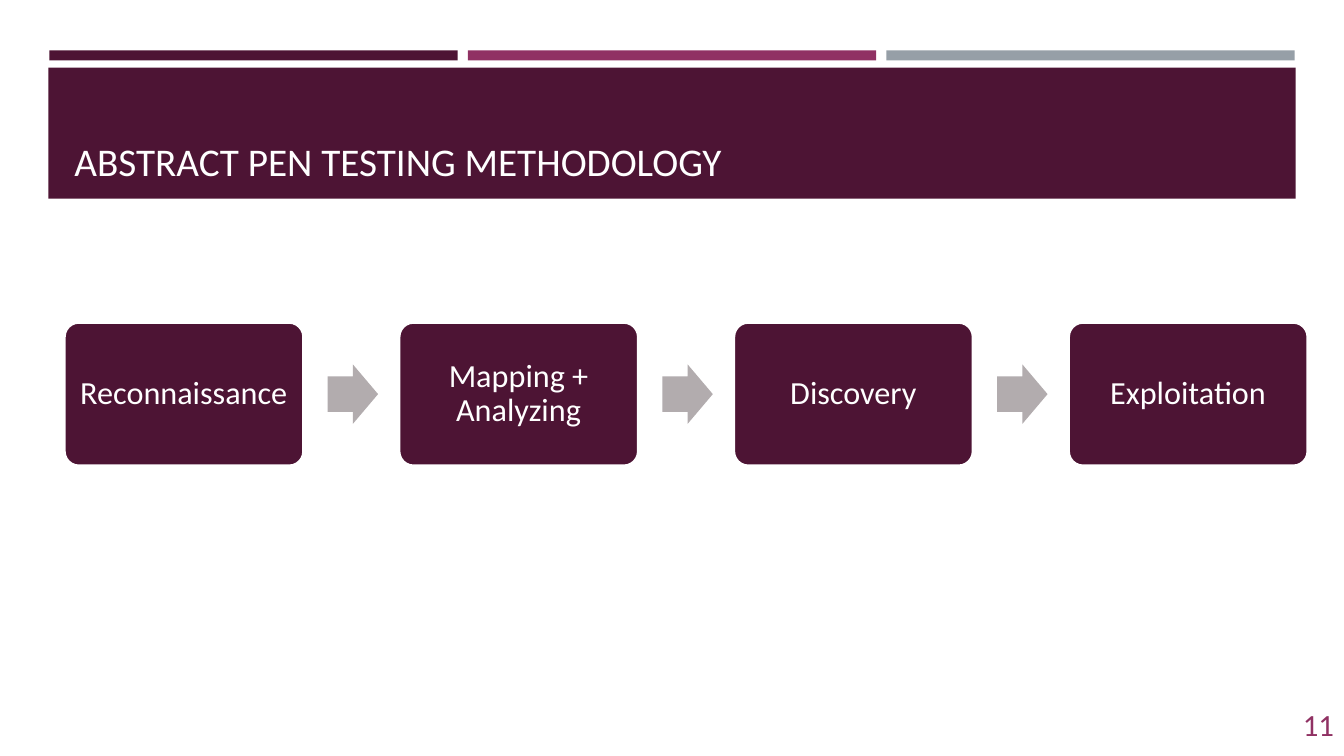
from dataclasses import dataclass
from pptx import Presentation
from pptx.dml.color import RGBColor
from pptx.enum.shapes import MSO_SHAPE
from pptx.enum.text import MSO_ANCHOR, PP_ALIGN
from pptx.util import Inches, Pt

TITLE = "ABSTRACT PEN TESTING METHODOLOGY"
PAGE_NUMBER = "11"
STAGES = ["Reconnaissance", "Mapping + Analyzing", "Discovery", "Exploitation"]


@dataclass(frozen=True)
class Theme:
    font: str = "Calibri"
    plum: str = "4D1434"
    magenta: str = "903163"
    steel: str = "969FA7"
    arrow: str = "B2ACAE"
    white: str = "FFFFFF"
    title_size: int = 28
    stage_size: int = 23
    number_size: int = 22


THEME = Theme()
WIDTH, HEIGHT = 13.33, 7.5
STRIPES = [THEME.plum, THEME.magenta, THEME.steel]
STRIPE_LEFT, STRIPE_TOP, STRIPE_WIDTH, STRIPE_STEP = 0.49, 0.5, 4.05, 4.15
STAGE_LEFT, STAGE_TOP, STAGE_WIDTH, STAGE_HEIGHT = 0.64, 3.2, 2.37, 1.42
STAGE_STEP = 3.32
ARROW_OFFSET, ARROW_WIDTH, ARROW_HEIGHT = 2.61, 0.5, 0.59


def add_block(page, kind, area, fill, adjustments=()):
    shape = page.shapes.add_shape(kind, *map(Inches, area))
    shape.shadow.inherit = False
    shape.fill.solid()
    shape.fill.fore_color.rgb = RGBColor.from_string(fill)
    shape.line.fill.background()
    for index, value in enumerate(adjustments):
        shape.adjustments[index] = value
    return shape


def write(shape, text, size, color, align, anchor, margin=0.1):
    frame = shape.text_frame
    frame.word_wrap = True
    frame.vertical_anchor = anchor
    frame.margin_left = frame.margin_right = Inches(margin)
    para = frame.paragraphs[0]
    para.text = text
    para.alignment = align
    para.font.name = THEME.font
    para.font.size = Pt(size)
    para.font.color.rgb = RGBColor.from_string(color)
    return para


def add_header(page):
    for column, color in enumerate(STRIPES):
        left = STRIPE_LEFT + column * STRIPE_STEP
        add_block(page, MSO_SHAPE.RECTANGLE, (left, STRIPE_TOP, STRIPE_WIDTH, 0.1), color)
    add_block(page, MSO_SHAPE.RECTANGLE, (0.48, 0.67, 12.37, 1.3), THEME.plum)
    box = page.shapes.add_textbox(*map(Inches, (0.64, 0.77, 12.06, 1.11)))
    write(box, TITLE, THEME.title_size, THEME.white, PP_ALIGN.LEFT, MSO_ANCHOR.BOTTOM)


def add_stages(page):
    arrow_top = STAGE_TOP + (STAGE_HEIGHT - ARROW_HEIGHT) / 2
    for column, name in enumerate(STAGES):
        left = STAGE_LEFT + column * STAGE_STEP
        area = (left, STAGE_TOP, STAGE_WIDTH, STAGE_HEIGHT)
        stage = add_block(page, MSO_SHAPE.ROUNDED_RECTANGLE, area, THEME.plum, [0.1])
        stage.line.color.rgb = RGBColor.from_string(THEME.white)
        stage.line.width = Pt(1.75)
        para = write(stage, name, THEME.stage_size, THEME.white,
                     PP_ALIGN.CENTER, MSO_ANCHOR.MIDDLE, 0.08)
        para.line_spacing = 0.9
        if column < len(STAGES) - 1:
            area = (left + ARROW_OFFSET, arrow_top, ARROW_WIDTH, ARROW_HEIGHT)
            add_block(page, MSO_SHAPE.RIGHT_ARROW, area, THEME.arrow, [0.6, 0.5])


def main():
    deck = Presentation()
    deck.slide_width, deck.slide_height = Inches(WIDTH), Inches(HEIGHT)
    page = deck.slides.add_slide(deck.slide_layouts[6])
    add_header(page)
    add_stages(page)
    box = page.shapes.add_textbox(*map(Inches, (WIDTH - 1.06, 7.03, 1.06, 0.3)))
    write(box, PAGE_NUMBER, THEME.number_size, THEME.magenta, PP_ALIGN.RIGHT, MSO_ANCHOR.MIDDLE)
    deck.save("out.pptx")


if __name__ == "__main__":
    main()
